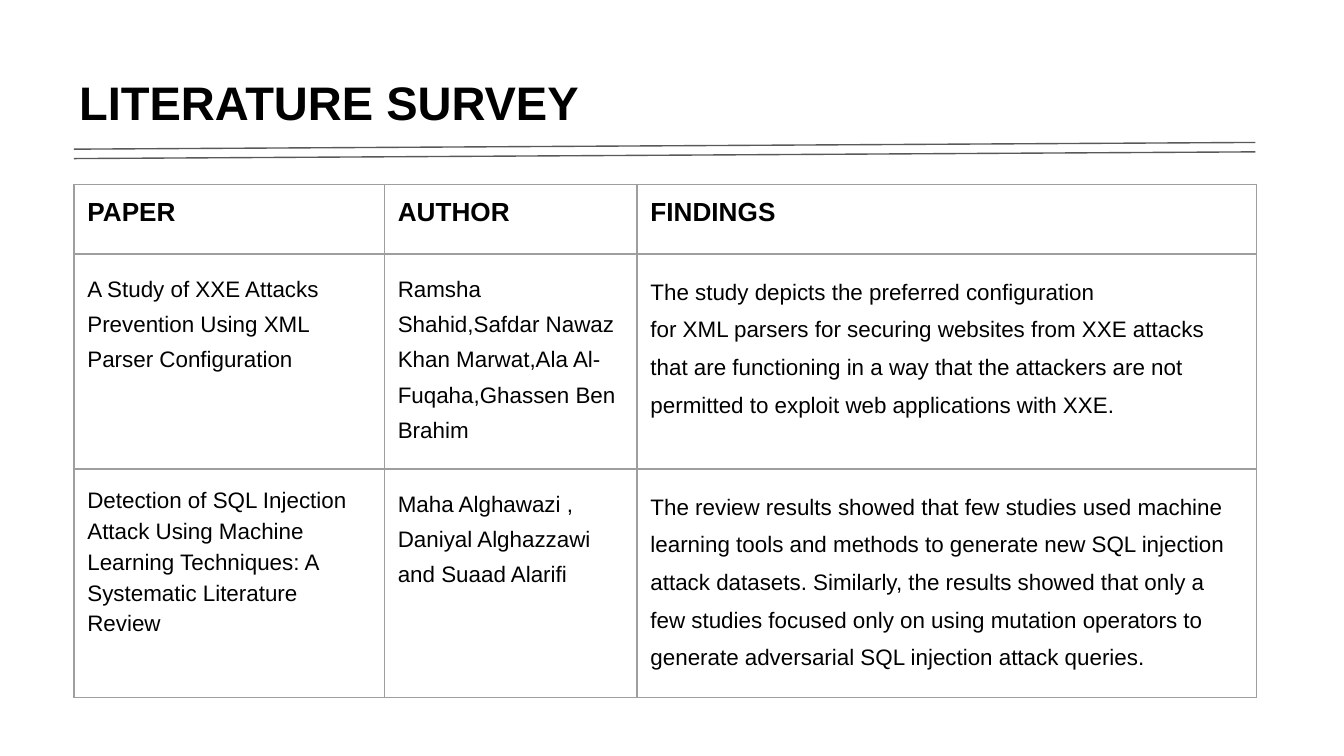
from lxml import etree
from pptx import Presentation
from pptx.dml.color import RGBColor
from pptx.enum import shapes, text
from pptx.oxml.ns import qn
from pptx.util import Inches, Pt

FONT = "Arial"
BLACK, RULE_GREY, BORDER_GREY = "000000", "595959", "9E9E9E"
INSET = 0.1

HEADERS = ["PAPER", "AUTHOR", "FINDINGS"]
# One row per paper; each cell is a list of paragraphs.
STUDIES = [
    [
        ["A Study of XXE Attacks Prevention Using XML", "Parser Configuration"],
        ["Ramsha Shahid,Safdar Nawaz Khan Marwat,Ala Al-Fuqaha,Ghassen Ben Brahim"],
        ["The study depicts the preferred configuration",
         "for XML parsers for securing websites from XXE attacks that are "
         "functioning in a way that the attackers are not permitted to exploit "
         "web applications with XXE."],
    ],
    [
        ["Detection of SQL Injection Attack Using Machine Learning Techniques: "
         "A Systematic Literature Review"],
        ["Maha Alghawazi , Daniyal Alghazzawi and Suaad Alarifi"],
        ["The review results showed that few studies used machine learning tools "
         "and methods to generate new SQL injection attack datasets. Similarly, "
         "the results showed that only a few studies focused only on using "
         "mutation operators to generate adversarial SQL injection attack queries."],
    ],
]
LINE_SPACINGS = [[1.4, 1.4, 1.5], [1.23, 1.4, 1.5]]
COLUMN_WIDTHS = [2.31, 1.88, 4.61]
ROW_HEIGHTS = [0.52, 0.65, 0.65]  # minimums: rows grow with their text


def color(hex_string):
    return RGBColor.from_string(hex_string)


def set_font(paragraph, size, bold=False):
    font = paragraph.font
    font.name, font.size, font.bold = FONT, Pt(size), bold
    font.color.rgb = color(BLACK)


def set_insets(holder):
    """Apply the common inset to a text frame or table cell."""
    holder.margin_left = holder.margin_right = Inches(INSET)
    holder.margin_top = holder.margin_bottom = Inches(INSET)


def add_title(slide, left, top, width, height):
    box = slide.shapes.add_textbox(
        Inches(left), Inches(top), Inches(width), Inches(height))
    frame = box.text_frame
    frame.word_wrap = True
    frame.vertical_anchor = text.MSO_ANCHOR.BOTTOM
    set_insets(frame)
    paragraph = frame.paragraphs[0]
    paragraph.text = "LITERATURE SURVEY"
    set_font(paragraph, 25.2, bold=True)


def add_double_rule(slide, left, top, width, rise, gap):
    """Draw two parallel lines that climb slightly to the right."""
    for start in (top + rise, top + rise + gap):
        line = slide.shapes.add_connector(
            shapes.MSO_CONNECTOR.STRAIGHT, Inches(left), Inches(start),
            Inches(left + width), Inches(start - rise))
        line.line.color.rgb = color(RULE_GREY)
        line.line.width = Pt(0.75)
        etree.SubElement(line._element.spPr, qn("a:effectLst"))


def set_borders(cell):
    properties = cell._tc.get_or_add_tcPr()
    for index, side in enumerate(("a:lnL", "a:lnR", "a:lnT", "a:lnB")):
        border = etree.Element(qn(side), w=str(Pt(0.75)))
        fill = etree.SubElement(border, qn("a:solidFill"))
        etree.SubElement(fill, qn("a:srgbClr"), val=BORDER_GREY)
        properties.insert(index, border)


def fill_cell(cell, paragraphs, size, bold=False, spacing=None, space_before=None):
    cell.fill.background()
    set_insets(cell)
    set_borders(cell)
    cell.text = "\n".join(paragraphs)
    for paragraph in cell.text_frame.paragraphs:
        set_font(paragraph, size, bold)
        paragraph.line_spacing = spacing
        paragraph.space_before = space_before


def add_survey_table(slide, left, top, width, height):
    frame = slide.shapes.add_table(
        len(ROW_HEIGHTS), len(HEADERS), Inches(left), Inches(top),
        Inches(width), Inches(height))
    table = frame.table
    table.horz_banding = False
    for column, column_width in zip(table.columns, COLUMN_WIDTHS):
        column.width = Inches(column_width)
    for row, row_height in zip(table.rows, ROW_HEIGHTS):
        row.height = Inches(row_height)
    # Resizing rows and columns also resizes the frame, so set it last.
    frame.width, frame.height = Inches(width), Inches(height)

    for column, header in enumerate(HEADERS):
        fill_cell(table.cell(0, column), [header], 14, bold=True)
    for row, (study, spacings) in enumerate(zip(STUDIES, LINE_SPACINGS), start=1):
        for column, (paragraphs, spacing) in enumerate(zip(study, spacings)):
            space_before = Pt(17) if (row, column) == (2, 0) else None
            fill_cell(table.cell(row, column), paragraphs, 12,
                      spacing=spacing, space_before=space_before)


def main():
    presentation = Presentation()
    presentation.slide_width = Inches(10)
    presentation.slide_height = Inches(10 * 9 / 16)
    slide = presentation.slides.add_slide(presentation.slide_layouts[6])
    add_title(slide, 0.49, 0.44, 9.32, 0.63)
    add_double_rule(slide, 0.55, 1.06, 8.79, rise=0.05, gap=0.07)
    add_survey_table(slide, 0.55, 1.37, 3.28, 3.28)
    presentation.save("out.pptx")


if __name__ == "__main__":
    main()
